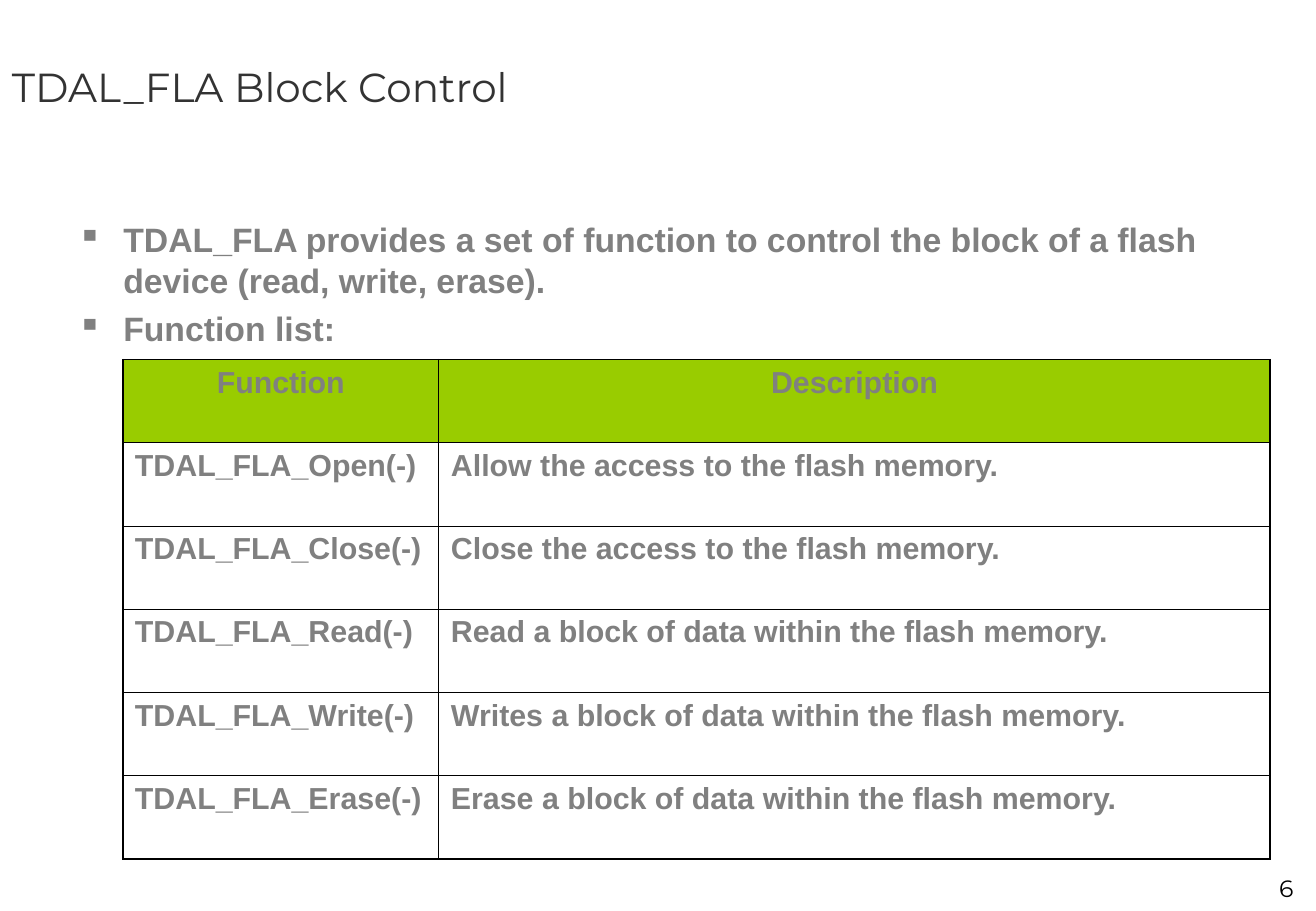
from lxml import etree
from pptx import Presentation
from pptx.dml.color import RGBColor
from pptx.enum.text import MSO_ANCHOR, PP_ALIGN
from pptx.oxml.ns import qn
from pptx.util import Cm, Pt

LEFT, CENTER, RIGHT = PP_ALIGN.LEFT, PP_ALIGN.CENTER, PP_ALIGN.RIGHT
TOP, MIDDLE = MSO_ANCHOR.TOP, MSO_ANCHOR.MIDDLE

GREY = RGBColor(0x80, 0x80, 0x80)
CHARCOAL = RGBColor(0x33, 0x33, 0x33)
BLACK = RGBColor(0, 0, 0)
GREEN = RGBColor(0x99, 0xCC, 0)

TITLE = "TDAL_FLA Block Control"
POINTS = [
    "TDAL_FLA provides a set of function to control the block of a flash device (read, write, erase).",
    "Function list:",
]
FUNCTIONS = [
    ("Function", "Description"),
    ("TDAL_FLA_Open(-)", "Allow the access to the flash memory."),
    ("TDAL_FLA_Close(-)", "Close the access to the flash memory."),
    ("TDAL_FLA_Read(-)", "Read a block of data within the flash memory."),
    ("TDAL_FLA_Write(-)", "Writes a block of data within the flash memory."),
    ("TDAL_FLA_Erase(-)", "Erase a block of data within the flash memory."),
]
PAGE_NUMBER = "6"

COLUMN_WIDTHS = [Cm(6.61), Cm(17.39)]
ROW_HEIGHT = Cm(1.74)
OUTER_LINE, INNER_LINE = Pt(1.08), Pt(0.45)


def write(frame, lines, font="Arial", size=18, color=GREY, bold=False,
          align=LEFT, anchor=TOP, before=0, bullet=None):
    frame.word_wrap = True
    frame.vertical_anchor = anchor
    for index, line in enumerate(lines):
        paragraph = frame.paragraphs[0] if index == 0 else frame.add_paragraph()
        paragraph.alignment = align
        paragraph.space_before = Pt(before)
        run = paragraph.add_run()
        run.text = line
        run.font.name = font
        run.font.size = Pt(size)
        run.font.bold = bold
        run.font.color.rgb = color
        if bullet:
            properties = paragraph._p.get_or_add_pPr()
            properties.set("marL", str(Cm(0.96)))
            properties.set("indent", str(-Cm(0.96)))
            bullet_color = etree.SubElement(properties, qn("a:buClr"))
            etree.SubElement(bullet_color, qn("a:srgbClr"), val=str(color))
            etree.SubElement(properties, qn("a:buChar"), char=bullet)


def add_text(slide, box, lines, **text_format):
    frame = slide.shapes.add_textbox(*(Cm(length) for length in box)).text_frame
    write(frame, lines, **text_format)


def draw_borders(cell, outer_sides):
    properties = cell._tc.get_or_add_tcPr()
    for side in "LRTB":
        width = OUTER_LINE if side in outer_sides else INNER_LINE
        line = etree.SubElement(properties, qn("a:ln" + side), w=str(width))
        fill = etree.SubElement(line, qn("a:solidFill"))
        etree.SubElement(fill, qn("a:srgbClr"), val=str(BLACK))


def add_function_table(slide):
    row_count, column_count = len(FUNCTIONS), len(COLUMN_WIDTHS)
    table = slide.shapes.add_table(
        row_count, column_count, Cm(2.57), Cm(7.52),
        sum(COLUMN_WIDTHS), ROW_HEIGHT * row_count).table
    table.horz_banding = False
    for column, width in zip(table.columns, COLUMN_WIDTHS):
        column.width = width
    for r, texts in enumerate(FUNCTIONS):
        table.rows[r].height = ROW_HEIGHT
        for c, text in enumerate(texts):
            cell = table.cell(r, c)
            edges = {"T": r == 0, "B": r == row_count - 1,
                     "L": c == 0, "R": c == column_count - 1}
            draw_borders(cell, [side for side, outer in edges.items() if outer])
            if r == 0:
                cell.fill.solid()
                cell.fill.fore_color.rgb = GREEN
            else:
                cell.fill.background()
            write(cell.text_frame, [text], bold=True, before=4.5,
                  align=CENTER if r == 0 else LEFT)


def main():
    deck = Presentation()
    deck.slide_width, deck.slide_height = Cm(27.53), Cm(19.05)
    slide = deck.slides.add_slide(deck.slide_layouts[6])
    add_text(slide, (0, 0, 27.51, 3.61), [TITLE], font="Montserrat", size=24,
             color=CHARCOAL, anchor=MIDDLE)
    add_text(slide, (1.37, 4.45, 24.77, 12.57), POINTS, size=20, bold=True,
             before=5, bullet="▪")
    add_function_table(slide)
    add_text(slide, (24.36, 18.14, 2.95, 0.84), [PAGE_NUMBER],
             font="Montserrat", size=14, color=BLACK, align=RIGHT)
    deck.save("out.pptx")


if __name__ == "__main__":
    main()
